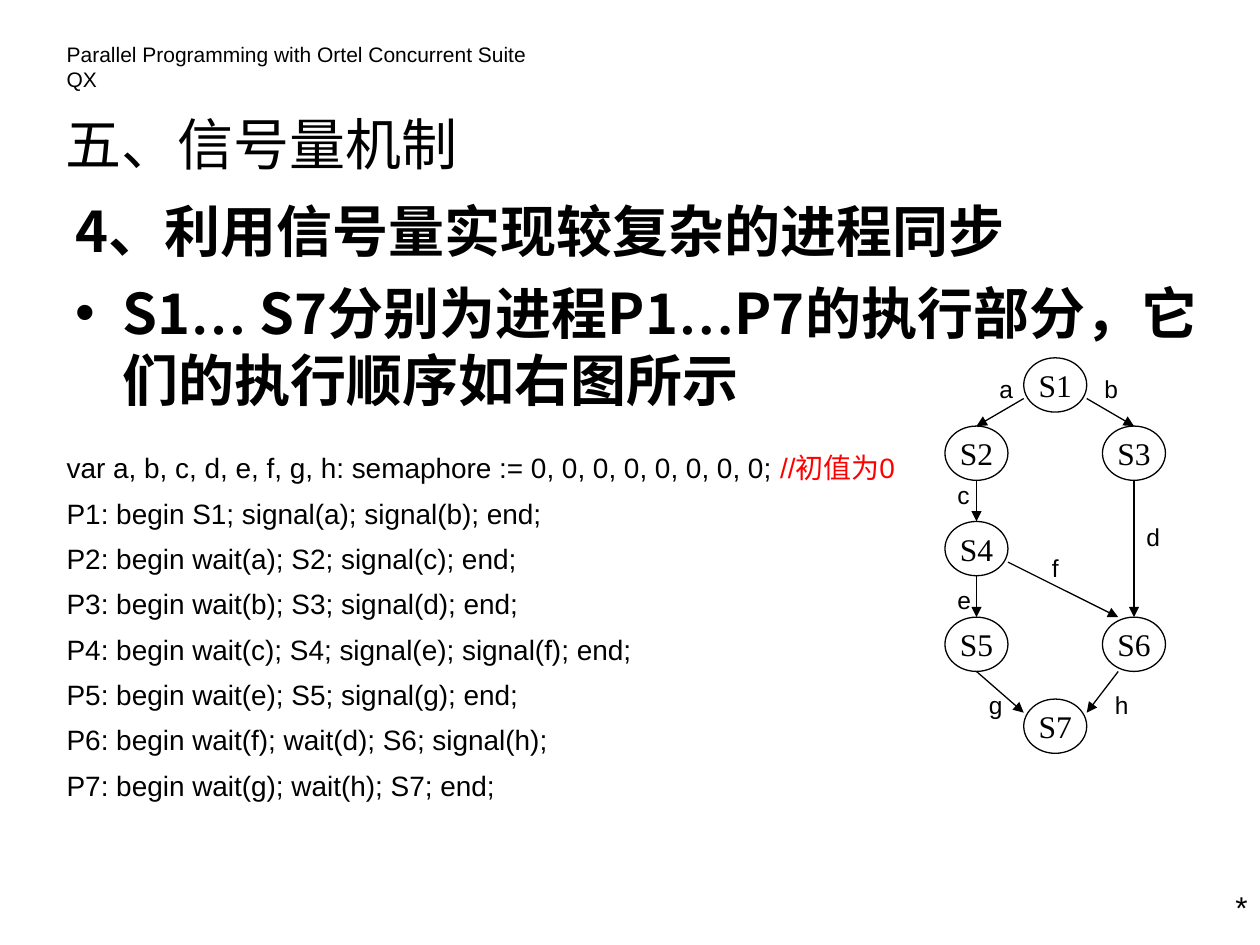
from dataclasses import dataclass
from typing import NamedTuple

from lxml.etree import SubElement
from pptx import Presentation
from pptx.dml.color import RGBColor
from pptx.enum.shapes import MSO_CONNECTOR, MSO_SHAPE
from pptx.enum.text import MSO_ANCHOR, PP_ALIGN
from pptx.oxml.ns import qn
from pptx.util import Pt


@dataclass(frozen=True)
class Theme:
    ink: RGBColor = RGBColor(0, 0, 0)
    paper: RGBColor = RGBColor(255, 255, 255)
    comment: RGBColor = RGBColor(255, 0, 0)
    sans: str = "Arial"
    serif: str = "Times New Roman"
    chinese: str = "Noto Sans CJK SC"
    header_size: float = 12
    heading_size: float = 32
    code_size: float = 16
    node_size: float = 18
    signal_size: float = 14
    line_width: float = 0.75


THEME = Theme()


class Box(NamedTuple):
    left: float
    top: float
    width: float
    height: float

    def at(self, across: float, down: float) -> tuple:
        """Point at the given fractions of the width and height."""
        return self.left + across * self.width, self.top + down * self.height


class Run(NamedTuple):
    text: str
    font: str
    size: float
    color: RGBColor = THEME.ink
    bold: bool = False


class Edge(NamedTuple):
    """Arrow between two nodes; its ends are fractions of the node boxes."""
    start: str
    start_at: tuple
    end: str
    end_at: tuple


BOTTOM, TOP = (0.5, 1), (0.5, 0)
NODE_WIDTH, NODE_HEIGHT = 36, 31
LEFT, MIDDLE, RIGHT = 540, 585, 630
NODES = {
    name: Box(left, top, NODE_WIDTH, NODE_HEIGHT)
    for name, left, top in [
        ("S1", MIDDLE, 204.5), ("S2", LEFT, 243.5), ("S3", RIGHT, 243.5),
        ("S4", LEFT, 298), ("S6", RIGHT, 352.7), ("S5", LEFT, 352.7),
        ("S7", MIDDLE, 399.5),
    ]
}
EDGES = [
    Edge("S1", (0, 0.75), "S2", TOP),
    Edge("S1", (1, 0.75), "S3", TOP),
    Edge("S2", BOTTOM, "S4", TOP),
    Edge("S4", BOTTOM, "S5", TOP),
    Edge("S3", BOTTOM, "S6", TOP),
    Edge("S4", (1, 0.75), "S6", (0.25, 0)),
    Edge("S5", BOTTOM, "S7", (0, 0.25)),
    Edge("S6", (0.25, 1), "S7", (1, 0.25)),
]
SIGNALS = {
    "a": (564, 210), "b": (624, 210), "c": (540, 270.5), "d": (648, 294.5),
    "e": (540, 330.5), "f": (594, 312.5), "g": (558, 390.5), "h": (630, 390.5),
}
PROCESSES = [
    "P1: begin S1; signal(a); signal(b); end;",
    "P2: begin wait(a); S2; signal(c); end;",
    "P3: begin wait(b); S3; signal(d); end;",
    "P4: begin wait(c); S4; signal(e); signal(f); end;",
    "P5: begin wait(e); S5; signal(g); end;",
    "P6: begin wait(f); wait(d); S6; signal(h);",
    "P7: begin wait(g); wait(h); S7; end;",
]


def apply(target, values: dict) -> None:
    for attribute, value in values.items():
        setattr(target, attribute, value)


def write_run(paragraph, part: Run) -> None:
    run = paragraph.add_run()
    run.text = part.text
    apply(run.font, {"name": part.font, "size": Pt(part.size), "bold": part.bold})
    run.font.color.rgb = part.color
    SubElement(run.font._element, qn("a:ea"), typeface=THEME.chinese)


def write_paragraphs(frame, paragraphs: list, **layout) -> list:
    """Fill the frame with lists of runs and return its paragraphs."""
    for index, parts in enumerate(paragraphs):
        paragraph = frame.add_paragraph() if index else frame.paragraphs[0]
        apply(paragraph, layout)
        for part in parts:
            write_run(paragraph, part)
    return list(frame.paragraphs)


def add_text(slide, box: Box, paragraphs: list, anchor=MSO_ANCHOR.TOP, **layout) -> list:
    frame = slide.shapes.add_textbox(*map(Pt, box)).text_frame
    apply(frame, {"word_wrap": True, "vertical_anchor": anchor})
    return write_paragraphs(frame, paragraphs, **layout)


def indent_points(paragraphs: list, hang: float) -> None:
    """Give all paragraphs a hanging indent, and bullets after the first."""
    for index, paragraph in enumerate(paragraphs):
        properties = paragraph._p.get_or_add_pPr()
        properties.set("marL", str(Pt(hang)))
        properties.set("indent", str(-Pt(hang)))
        if index:
            paragraph.space_before = Pt(8)
            SubElement(properties, qn("a:buFont"), typeface=THEME.sans)
            SubElement(properties, qn("a:buChar"), char="•")
        else:
            SubElement(properties, qn("a:buNone"))


def add_node(slide, name: str, box: Box):
    node = slide.shapes.add_shape(MSO_SHAPE.OVAL, *map(Pt, box))
    node.shadow.inherit = False
    node.fill.solid()
    node.fill.fore_color.rgb = THEME.paper
    node.line.color.rgb = THEME.ink
    node.line.width = Pt(THEME.line_width)
    margins = dict.fromkeys(
        ("margin_left", "margin_top", "margin_right", "margin_bottom"), 0)
    apply(node.text_frame, {
        **margins, "word_wrap": False, "vertical_anchor": MSO_ANCHOR.MIDDLE})
    write_paragraphs(node.text_frame, [[Run(name, THEME.serif, THEME.node_size)]],
                     alignment=PP_ALIGN.CENTER)
    return node


def add_arrow(slide, edge: Edge, ovals: dict) -> None:
    ends = NODES[edge.start].at(*edge.start_at) + NODES[edge.end].at(*edge.end_at)
    arrow = slide.shapes.add_connector(MSO_CONNECTOR.STRAIGHT, *map(Pt, ends))
    if edge.end_at == TOP:
        arrow.end_connect(ovals[edge.end], 0)
    arrow.line.color.rgb = THEME.ink
    arrow.line.width = Pt(THEME.line_width)
    SubElement(arrow.line._get_or_add_ln(), qn("a:tailEnd"), type="triangle")
    SubElement(arrow._element.spPr, qn("a:effectLst"))


def main() -> None:
    deck = Presentation()
    apply(deck, {"slide_width": Pt(720), "slide_height": Pt(540)})
    slide = deck.slides.add_slide(deck.slide_layouts[6])

    add_text(slide, Box(31, 20, 295, 22), [[Run(
        "Parallel Programming with Ortel Concurrent Suite QX",
        THEME.sans, THEME.header_size)]])
    add_text(slide, Box(30.5, 54.5, 408, 54), [[Run(
        "五、信号量机制", THEME.chinese, THEME.heading_size)]], MSO_ANCHOR.MIDDLE)
    add_text(slide, Box(672, 504, 48, 29), [[Run(
        "*", THEME.sans, THEME.node_size)]], alignment=PP_ALIGN.RIGHT)

    def bold(text: str, font: str = THEME.chinese) -> Run:
        return Run(text, font, THEME.heading_size, bold=True)

    ellipsis = bold("…", THEME.serif)
    points = add_text(slide, Box(36, 109, 666, 132), [
        [bold("4、利用信号量实现较复杂的进程同步")],
        [bold("S1"), ellipsis, bold(" S7分别为进程P1"), ellipsis,
         bold("P7的执行部分，它们的执行顺序如右图所示")],
    ])
    indent_points(points, 27)

    declaration = [
        Run("var a, b, c, d, e, f, g, h: semaphore := 0, 0, 0, 0, 0, 0, 0, 0; ",
            THEME.sans, THEME.code_size),
        Run("//初值为0", THEME.sans, THEME.code_size, THEME.comment),
    ]
    bodies = [[Run(line, THEME.sans, THEME.code_size)] for line in PROCESSES]
    add_text(slide, Box(31, 247.5, 522, 214.5), [declaration] + bodies,
             line_spacing=1.35)

    ovals = {name: add_node(slide, name, box) for name, box in NODES.items()}
    for edge in EDGES:
        add_arrow(slide, edge, ovals)
    for signal, (left, top) in SIGNALS.items():
        add_text(slide, Box(left, top, 18, 24.5),
                 [[Run(signal, THEME.sans, THEME.signal_size)]])

    deck.save("out.pptx")


if __name__ == "__main__":
    main()
